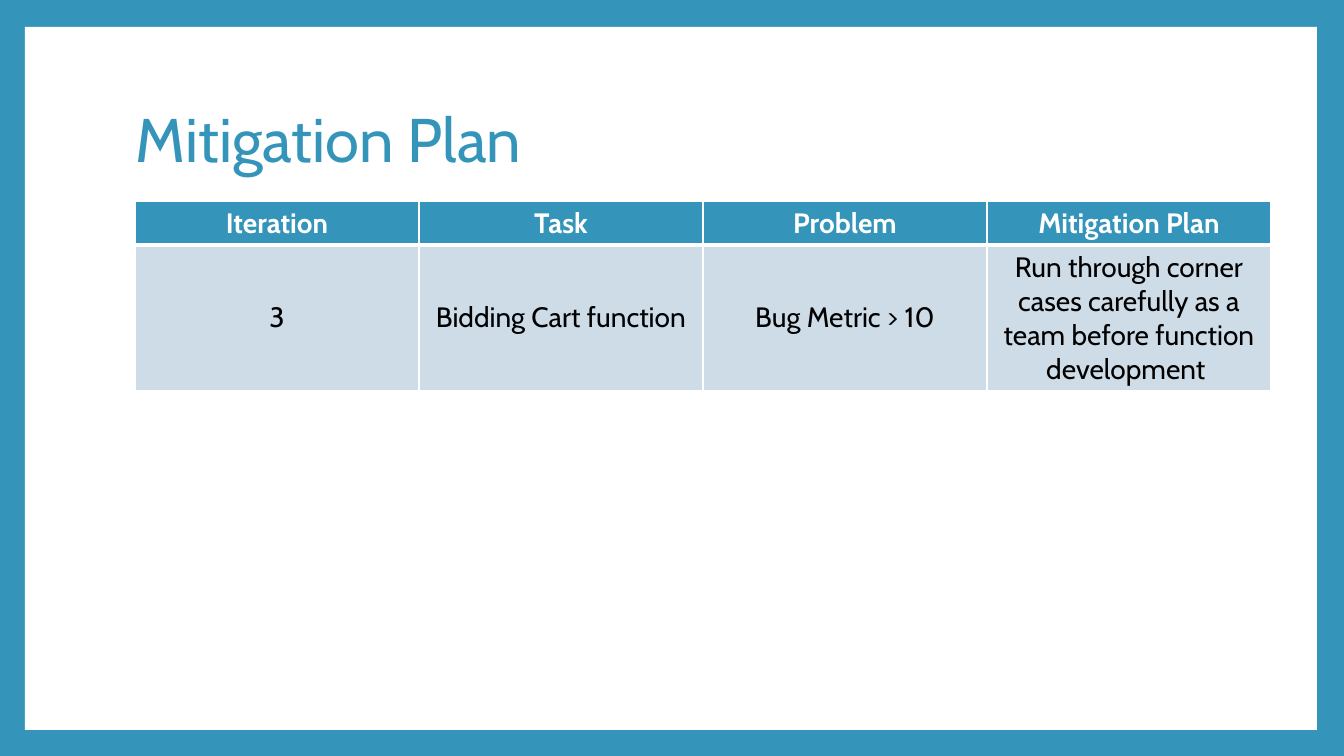
from dataclasses import dataclass

from lxml.etree import SubElement
from pptx import Presentation
from pptx.dml.color import RGBColor
from pptx.enum.shapes import MSO_SHAPE as Shape
from pptx.enum.text import MSO_ANCHOR as Anchor, PP_ALIGN as Align
from pptx.oxml.ns import qn
from pptx.util import Emu, Pt

EMU_PER_PX = 914400 / 100.8
FONT = "Cabin"
BLUE, PALE, WHITE, BLACK = "3494BA", "CEDCE7", "FFFFFF", "000000"


@dataclass(frozen=True)
class TableRow:
    texts: tuple[str, ...]
    height: int
    fill: str
    color: str
    bold: bool
    top_line: int
    bottom_line: int


COLUMN_WIDTH = 284
ROWS = (
    TableRow(("Iteration", "Task", "Problem", "Mitigation Plan"),
             44, BLUE, WHITE, True, 1, 3),
    TableRow(("3", "Bidding Cart function", "Bug Metric > 10",
              "Run through corner cases carefully as a team before function development "),
             146, PALE, BLACK, False, 3, 1),
)


def px(length: int) -> Emu:
    return Emu(round(length * EMU_PER_PX))


def rgb(color: str) -> RGBColor:
    return RGBColor.from_string(color)


def paint(fill, color: str) -> None:
    fill.solid()
    fill.fore_color.rgb = rgb(color)


def format_text(para, size: int, color: str, bold: bool = False) -> None:
    for span in para.runs:
        span.font.name = FONT
        span.font.size = Pt(size)
        span.font.bold = bold
        span.font.color.rgb = rgb(color)


def add_borders(cell, row: TableRow) -> None:
    properties = cell._tc.get_or_add_tcPr()
    widths = {"a:lnL": 1, "a:lnR": 1, "a:lnT": row.top_line, "a:lnB": row.bottom_line}
    for position, (side, width) in enumerate(widths.items()):
        line = SubElement(properties, qn(side), w=str(Pt(width)))
        fill = SubElement(line, qn("a:solidFill"))
        SubElement(fill, qn("a:srgbClr"), val=WHITE)
        # Borders must come before the cell fill
        properties.insert(position, line)


def fill_cell(cell, text: str, row: TableRow) -> None:
    cell.text_frame.text = text
    cell.vertical_anchor = Anchor.MIDDLE
    para = cell.text_frame.paragraphs[0]
    para.alignment = Align.CENTER
    format_text(para, 20, row.color, row.bold)
    paint(cell.fill, row.fill)
    add_borders(cell, row)


def add_plan_table(page) -> None:
    columns = len(ROWS[0].texts)
    table = page.shapes.add_table(
        len(ROWS), columns, px(135), px(201), px(columns * COLUMN_WIDTH),
        px(sum(row.height for row in ROWS))).table
    for column in table.columns:
        column.width = px(COLUMN_WIDTH)
    for row_index, row in enumerate(ROWS):
        table.rows[row_index].height = px(row.height)
        for column_index, text in enumerate(row.texts):
            fill_cell(table.cell(row_index, column_index), text, row)


def add_title(page) -> None:
    box = page.shapes.add_textbox(px(126), px(68), px(1089), px(149))
    frame = box.text_frame
    frame.word_wrap = True
    frame.vertical_anchor = Anchor.MIDDLE
    frame.text = "Mitigation Plan"
    para = frame.paragraphs[0]
    para.line_spacing = 0.9
    format_text(para, 44, BLUE)


def main() -> None:
    deck = Presentation()
    deck.slide_width, deck.slide_height = px(1344), px(756)
    page = deck.slides.add_slide(deck.slide_layouts[6])

    # Blue frame around a white panel
    paint(page.background.fill, BLUE)
    panel = page.shapes.add_shape(Shape.RECTANGLE, px(25), px(27), px(1292), px(703))
    panel.shadow.inherit = False
    paint(panel.fill, WHITE)
    panel.line.fill.background()

    # Content
    add_title(page)
    add_plan_table(page)
    deck.save("out.pptx")


if __name__ == "__main__":
    main()
